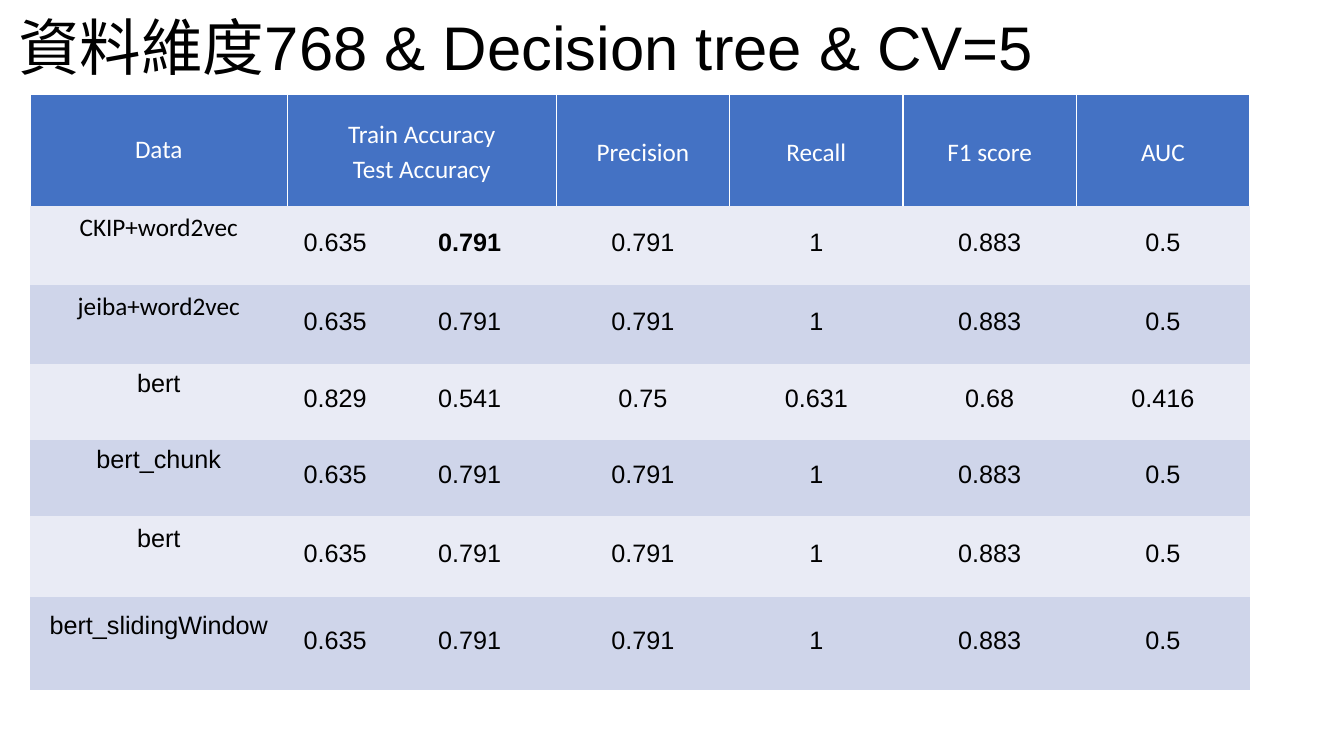
from lxml import etree
from pptx import Presentation
from pptx.dml.color import RGBColor
from pptx.enum.text import MSO_ANCHOR as ANCHOR, MSO_AUTO_SIZE as AUTO_SIZE, PP_ALIGN as ALIGN
from pptx.oxml import parse_xml
from pptx.oxml.ns import nsdecls, qn
from pptx.util import Pt

NO_STYLE = "{2D5ABB26-0587-4C30-8999-92F81FD0307C}"
WHITE, BLACK, HEADER_FILL = "FFFFFF", "000000", "4472C4"
BAND_FILLS = "E9EBF5", "CFD5EA"
HEADER_INSETS = 7.2, 3.6, 7.2, 3.6
DATA_INSETS = 7.2, 3.6, 7.2, 8
NAME_INSETS = 0.7, 0.7, 0.7, 29
VALUE_INSETS = 0.7, 0.7, 0.7, 7.2

COL_WIDTHS = [183.6, 68.4] + [123.8] * 5
ROW_HEIGHTS = [79.3, 56.4, 56.4, 54.3, 54.3, 57.9, 66.4]
HEADERS = ["Data", "Train Accuracy\nTest Accuracy", "", "Precision", "Recall", "F1 score", "AUC"]
COMMON_SCORES = ["0.635", "0.791", "0.791", "1", "0.883", "0.5"]
RESULTS = [
    ["CKIP+word2vec", *COMMON_SCORES],
    ["jeiba+word2vec", *COMMON_SCORES],
    ["bert", "0.829", "0.541", "0.75", "0.631", "0.68", "0.416"],
    ["bert_chunk", *COMMON_SCORES],
    ["bert", *COMMON_SCORES],
    ["bert_slidingWindow", *COMMON_SCORES],
]


def rgb(color):
    return RGBColor.from_string(color)


def format_font(font, name, size, color, bold=False):
    font.name, font.size, font.bold = name, Pt(size), bold
    font.color.rgb = rgb(color)


def set_insets(frame, insets):
    """Set left, top, right and bottom margins of a cell or text frame."""
    frame.margin_left, frame.margin_top, frame.margin_right, frame.margin_bottom = map(Pt, insets)


def add_borders(cell):
    """Draw white lines on the left, right and top of a header cell."""
    tc_pr = cell._tc.get_or_add_tcPr()
    for i, side in enumerate(("lnL", "lnR", "lnT")):
        tc_pr.insert(i, parse_xml(
            f'<a:{side} {nsdecls("a")} w="{Pt(1)}"><a:solidFill>'
            f'<a:srgbClr val="{WHITE}"/></a:solidFill></a:{side}>'))


def fill_cell(cell, text, fill, insets, font_name, color, bold=False):
    cell.fill.solid()
    cell.fill.fore_color.rgb = rgb(fill)
    cell.vertical_anchor = ANCHOR.MIDDLE
    set_insets(cell, insets)
    cell.text_frame.text = text
    for p in cell.text_frame.paragraphs:
        p.alignment, p.line_spacing = ALIGN.CENTER, 1.15
        for r in p.runs:
            format_font(r.font, font_name, 18, color, bold)


def add_title(slide, text, left, top, width, height):
    sp = slide.shapes.title
    sp.left, sp.top, sp.width, sp.height = map(Pt, (left, top, width, height))
    tf = sp.text_frame
    tf.text = text
    tf.word_wrap, tf.auto_size = True, AUTO_SIZE.NONE
    tf.vertical_anchor = ANCHOR.MIDDLE
    set_insets(tf, HEADER_INSETS)
    p = tf.paragraphs[0]
    p.alignment, p.line_spacing = ALIGN.LEFT, 0.9
    format_font(p.runs[0].font, "Arial", 44, BLACK)


def add_results_table(slide, left, top):
    frame = slide.shapes.add_table(
        len(ROW_HEIGHTS), len(COL_WIDTHS),
        Pt(left), Pt(top), Pt(sum(COL_WIDTHS)), Pt(sum(ROW_HEIGHTS)))
    table = frame.table
    table.first_row = table.horz_banding = False
    table._tbl.tblPr.find(qn("a:tableStyleId")).text = NO_STYLE
    for column, width in zip(table.columns, COL_WIDTHS):
        column.width = Pt(width)
    for row, height in zip(table.rows, ROW_HEIGHTS):
        row.height = Pt(height)

    for col, text in enumerate(HEADERS):
        cell = table.cell(0, col)
        insets = HEADER_INSETS if col else DATA_INSETS
        fill_cell(cell, text, HEADER_FILL, insets, "Calibri", WHITE)
        add_borders(cell)
    table.cell(0, 1).merge(table.cell(0, 2))

    for row, values in enumerate(RESULTS, start=1):
        for col, text in enumerate(values):
            font_name = "Calibri" if "word2vec" in text else "Arial"
            insets = VALUE_INSETS if col else NAME_INSETS
            fill_cell(table.cell(row, col), text, BAND_FILLS[(row - 1) % 2],
                      insets, font_name, BLACK, bold=(row, col) == (1, 2))


def main():
    prs = Presentation()
    prs.slide_width, prs.slide_height = Pt(960), Pt(540)
    slide = prs.slides.add_slide(prs.slide_layouts[5])
    add_title(slide, "資料維度768 & Decision tree & CV=5", 5.8, 5, 828, 62.6)
    add_results_table(slide, 21.6, 67.7)
    prs.save("out.pptx")


if __name__ == "__main__":
    main()
